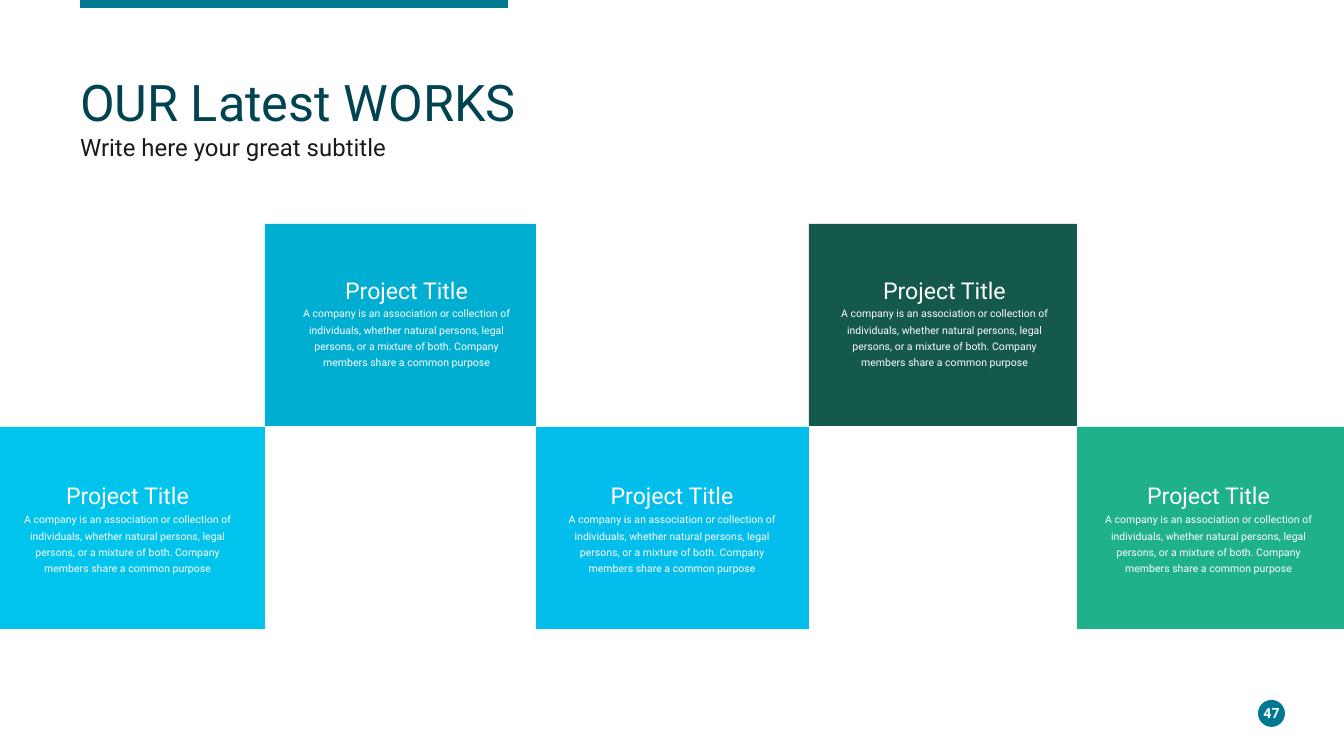
from itertools import cycle, pairwise

from pptx import Presentation
from pptx.dml.color import RGBColor
from pptx.enum.shapes import MSO_SHAPE as Shape
from pptx.enum.text import MSO_ANCHOR as Anchor, PP_ALIGN as Align
from pptx.util import Emu, Pt

EMU_PER_PX = 914400 / 134.4
TITLE_ONLY = 5

TEAL, DARK_TEAL, INK, WHITE = "007891", "004452", "1A1A1A", "FFFFFF"
TILE_COLORS = ["00C4EC", "00AED2", "03BDEC", "15584C", "1FB18A"]
TILE_EDGES = [0, 265, 536, 809, 1077, 1344]
TILE_HEIGHT = 202
ROWS = [(427, 476), (224, 270)]  # tile top, caption top: lower row, upper row
CAPTION_SPANS = [(9, 237), (290, 233), (547, 250), (820, 249), (1089, 239)]
CAPTION_HEIGHT = 105
PROJECT_TITLE = "Project Title"
PROJECT_TEXT = (
    "A company is an association or collection of individuals, whether natural "
    "persons, legal persons, or a mixture of both. Company members share a common purpose"
)


def px(length):
    return Emu(round(length * EMU_PER_PX))


def color(hex_string):
    return RGBColor.from_string(hex_string)


def write(para, text, size, ink=WHITE, bold=False, align=Align.LEFT, spacing=1.0):
    para.alignment = align
    para.line_spacing = spacing
    span = para.add_run()
    span.text = text
    font = span.font
    font.name = "Roboto"
    font.size = Pt(size)
    font.bold = bold
    font.color.rgb = color(ink)


class SlideBuilder:
    def __init__(self, deck):
        self.slide = deck.slides.add_slide(deck.slide_layouts[TITLE_ONLY])

    def block(self, kind, left, top, width, height, fill):
        shape = self.slide.shapes.add_shape(kind, px(left), px(top), px(width), px(height))
        shape.shadow.inherit = False
        shape.fill.solid()
        shape.fill.fore_color.rgb = color(fill)
        shape.line.fill.background()

    def frame(self, box, anchor, inset_x=0, inset_y=0):
        """Set wrapping, anchor and insets, and return the text frame."""
        frame = box.text_frame
        frame.word_wrap = True
        frame.vertical_anchor = anchor
        frame.margin_left = frame.margin_right = px(inset_x)
        frame.margin_top = frame.margin_bottom = px(inset_y)
        return frame

    def title(self, text, left, top, width, height):
        box = self.slide.shapes.title
        box.left, box.top, box.width, box.height = map(px, (left, top, width, height))
        frame = self.frame(box, Anchor.TOP)
        write(frame.paragraphs[0], text, 27, ink=DARK_TEAL, spacing=0.9)

    def text(self, text, left, top, width, height, size, anchor=Anchor.TOP, **style):
        box = self.slide.shapes.add_textbox(px(left), px(top), px(width), px(height))
        write(self.frame(box, anchor).paragraphs[0], text, size, **style)

    def caption(self, left, top, width):
        box = self.slide.shapes.add_textbox(px(left), px(top), px(width), px(CAPTION_HEIGHT))
        frame = self.frame(box, Anchor.MIDDLE, 10, 5)
        write(frame.paragraphs[0], PROJECT_TITLE, 12.4, align=Align.CENTER)
        write(frame.add_paragraph(), PROJECT_TEXT, 5.6, align=Align.CENTER, spacing=1.3)


def main():
    deck = Presentation()
    deck.slide_width, deck.slide_height = px(1344), px(756)
    page = SlideBuilder(deck)

    page.block(Shape.RECTANGLE, 80, 0, 428, 8, TEAL)
    page.title("OUR Latest WORKS", 80, 78, 1172, 58)
    page.text("Write here your great subtitle", 80, 136, 433, 22, 12.8, ink=INK, spacing=0.9)

    tiles = zip(pairwise(TILE_EDGES), cycle(ROWS), CAPTION_SPANS, TILE_COLORS)
    for (left, right), (tile_top, caption_top), (caption_left, caption_width), fill in tiles:
        page.block(Shape.RECTANGLE, left, tile_top, right - left, TILE_HEIGHT, fill)
        page.caption(caption_left, caption_top, caption_width)

    page.block(Shape.OVAL, 1258, 700, 27, 27, TEAL)
    page.text("47", 1251, 702, 41, 22, 7.5, anchor=Anchor.MIDDLE, bold=True, align=Align.CENTER)

    deck.save("out.pptx")


if __name__ == "__main__":
    main()
